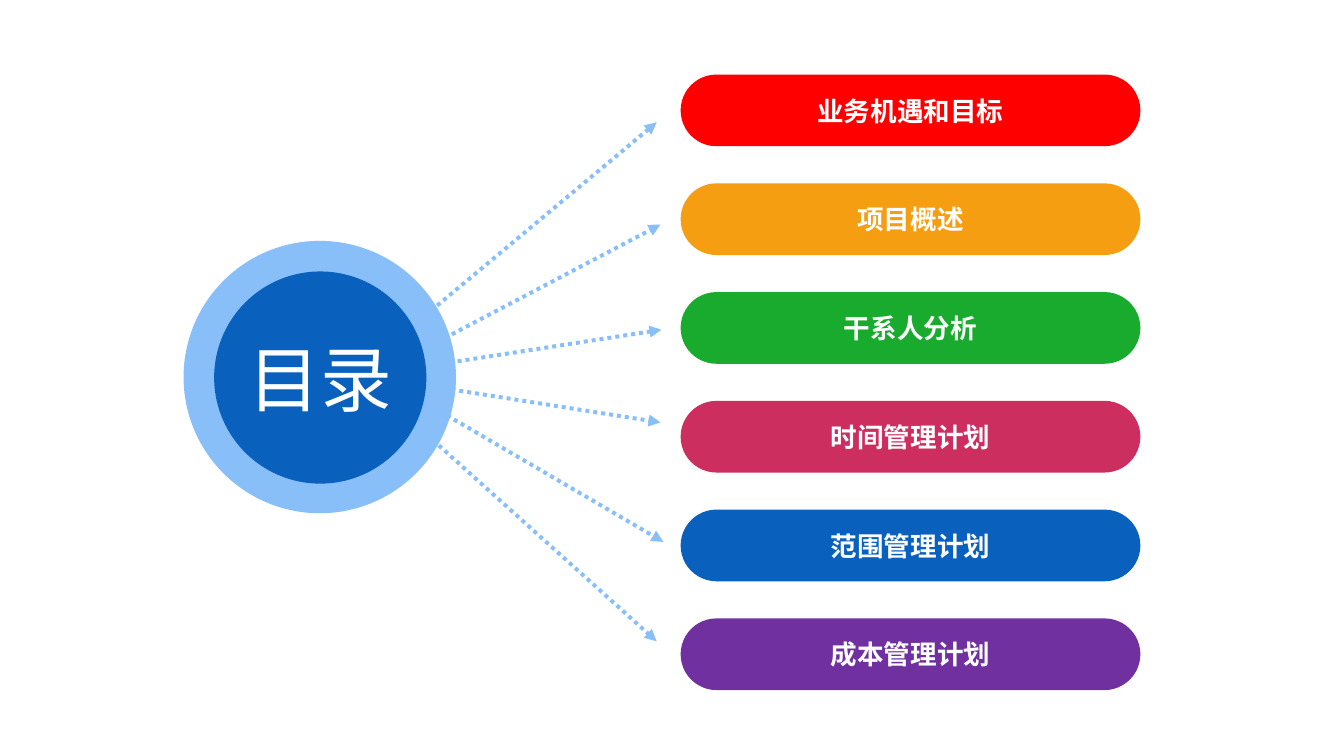
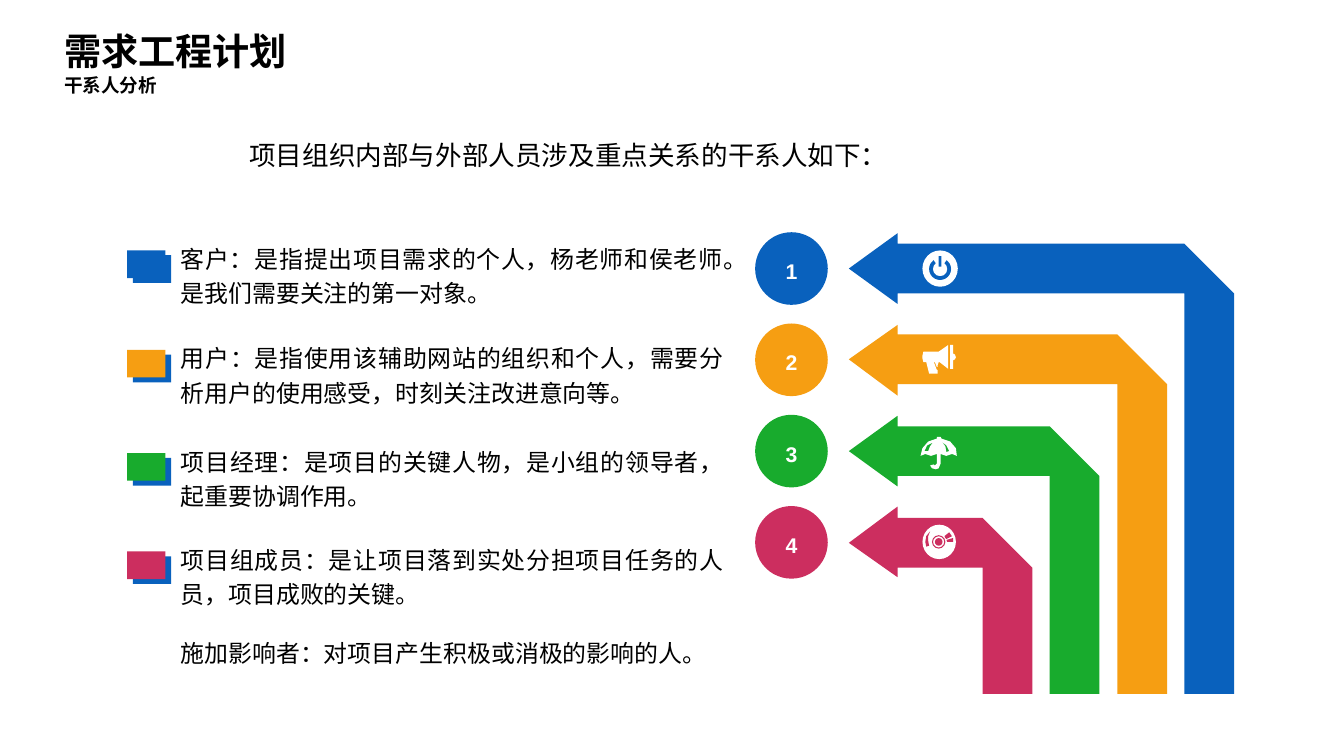
from pptx import Presentation
from pptx.dml.color import RGBColor
from pptx.enum.dml import MSO_LINE
from pptx.enum.shapes import MSO_CONNECTOR, MSO_SHAPE
from pptx.enum.text import MSO_ANCHOR, MSO_AUTO_SIZE, PP_ALIGN
from pptx.oxml.ns import qn
from pptx.oxml.xmlchemy import OxmlElement
from pptx.util import Pt

OVAL, RECT, PILL = MSO_SHAPE.OVAL, MSO_SHAPE.RECTANGLE, MSO_SHAPE.ROUNDED_RECTANGLE
ARC, DONUT = MSO_SHAPE.BLOCK_ARC, MSO_SHAPE.DONUT
LEFT, CENTER, JUSTIFY = PP_ALIGN.LEFT, PP_ALIGN.CENTER, PP_ALIGN.JUSTIFY
TOP, MIDDLE = MSO_ANCHOR.TOP, MSO_ANCHOR.MIDDLE

PX = 9144  # 100 px to the inch
FONT = "Arial"
BLUE, ORANGE = RGBColor(0x09, 0x61, 0xBD), RGBColor(0xF6, 0x9E, 0x12)
GREEN, CRIMSON = RGBColor(0x18, 0xAB, 0x2D), RGBColor(0xCC, 0x2E, 0x5F)
RED, PURPLE = RGBColor(0xFF, 0, 0), RGBColor(0x70, 0x30, 0xA0)
SKY, WHITE, BLACK = RGBColor(0x88, 0xBF, 0xF9), RGBColor(255, 255, 255), RGBColor(0, 0, 0)

# Contents slide
CONTENTS_TITLE = "目录"
TOPICS = [
    ("业务机遇和目标", RED),
    ("项目概述", ORANGE),
    ("干系人分析", GREEN),
    ("时间管理计划", CRIMSON),
    ("范围管理计划", BLUE),
    ("成本管理计划", PURPLE),
]
RAYS = [  # from x, y to x, y
    (451, 325, 687, 128), (421, 377, 691, 235), (421, 387, 692, 345),
    (431, 401, 691, 442), (446, 422, 694, 567), (459, 466, 687, 671),
]

# Stakeholder slide
TITLE, SUBTITLE = "需求工程计划", "干系人分析"
INTRO = "项目组织内部与外部人员涉及重点关系的干系人如下："
STAKEHOLDERS = [  # text top, colour, text
    (245, BLUE, "客户：是指提出项目需求的个人，杨老师和侯老师。是我们需要关注的第一对象。"),
    (349, ORANGE, "用户：是指使用该辅助网站的组织和个人，需要分析用户的使用感受，时刻关注改进意向等。"),
    (457, GREEN, "项目经理：是项目的关键人物，是小组的领导者，起重要协调作用。"),
    (560, CRIMSON, "项目组成员：是让项目落到实处分担项目任务的人员，项目成败的关键。"),
]
INFLUENCER = "施加影响者：对项目产生积极或消极的影响的人。"

# Icon outlines
MEGAPHONE = [
    [(966, 368), (982, 368), (992, 361), (992, 386), (983, 379), (977, 379), (980, 387),
     (981, 387), (981, 391), (972, 391), (969, 379), (966, 379), (965, 375), (965, 372)],
    [(994, 361), (997, 361), (997, 370), (999, 371), (1000, 374), (999, 376), (997, 377),
     (997, 386), (994, 386)],
    [(982, 379), (978, 379), (980, 384), (981, 384), (981, 382)],
]
UMBRELLA = [
    [(963, 477), (965, 469), (971, 462), (980, 459), (980, 457), (984, 457), (985, 459),
     (994, 462), (1000, 469), (1001, 477), (996, 475), (990, 477), (984, 475), (984, 485),
     (982, 490), (979, 491), (975, 490), (973, 487), (977, 486), (978, 487), (980, 485),
     (980, 475), (974, 477), (968, 475)],
    [(990, 473), (993, 472), (990, 466), (985, 462), (989, 467)],
    [(967, 472), (971, 472), (973, 467), (976, 463), (970, 466)],
]
DISC_SHINE = [
    [(973, 556), (969, 561), (968, 567), (969, 572), (972, 571), (971, 566), (971, 561)],
    [(988, 561), (989, 563), (990, 564), (996, 561), (995, 560), (993, 557)],
    [(997, 563), (990, 565), (991, 567), (997, 567)],
]


def px(*lengths):
    return [round(n * PX) for n in lengths]


def write(shape, text, size, color, bold=False, align=LEFT, anchor=TOP, spacing=None, inset=None):
    tf = shape.text_frame
    tf.word_wrap, tf.auto_size, tf.vertical_anchor = True, MSO_AUTO_SIZE.NONE, anchor
    if inset is not None:
        tf.margin_left = tf.margin_top = tf.margin_right = tf.margin_bottom = inset
    p = tf.paragraphs[0]
    p.alignment = align
    if spacing:
        p.line_spacing = spacing
    r = p.add_run()
    r.text = text
    r.font.name, r.font.size, r.font.bold = FONT, Pt(size), bold
    r.font.color.rgb = color


def paint(shape, color):
    shape.shadow.inherit = False
    shape.fill.solid()
    shape.fill.fore_color.rgb = color
    shape.line.fill.background()


def add_block(s, kind, box, color, adjustments=()):
    sp = s.shapes.add_shape(kind, *px(*box))
    for i, value in enumerate(adjustments):
        sp.adjustments[i] = value
    paint(sp, color)
    return sp


def add_outline(s, contours, color):
    start = contours[0][0]
    builder = s.shapes.build_freeform(*start, scale=PX)
    for i, points in enumerate(contours):
        if i:
            builder.move_to(*points[0])
        builder.add_line_segments(points[1:], close=True)
    paint(builder.convert_to_shape(), color)


def add_text(s, box, text, size, **style):
    write(s.shapes.add_textbox(*px(*box)), text, size, BLACK, **style)


def set_title(s, box, text, size, color, **style):
    title = s.shapes.title
    title.left, title.top, title.width, title.height = px(*box)
    write(title, text, size, color, anchor=MIDDLE, inset=0, **style)
    return title


def add_ray(s, ends):
    c = s.shapes.add_connector(MSO_CONNECTOR.STRAIGHT, *px(*ends))
    c.line.color.rgb, c.line.width = SKY, Pt(3)
    c.line.dash_style = MSO_LINE.ROUND_DOT
    props = c.element.spPr
    tail = OxmlElement("a:tailEnd")
    tail.set("type", "triangle")
    props.find(qn("a:ln")).append(tail)
    props.append(OxmlElement("a:effectLst"))


def build_contents(s):
    for ends in RAYS:
        add_ray(s, ends)
    # Hub, with the title on top of it
    hub = (224, 284, 222, 222)
    add_block(s, OVAL, (192, 252, 285, 285), SKY)
    add_block(s, OVAL, hub, BLUE)
    title = set_title(s, hub, CONTENTS_TITLE, 54, WHITE, align=CENTER)
    s.shapes.element.append(title.element)
    # Topic pills
    for i, (text, color) in enumerate(TOPICS):
        pill = add_block(s, PILL, (712, 78 + 113.8 * i, 481, 75), color, [0.5])
        write(pill, text, 20, WHITE, bold=True, align=CENTER, anchor=MIDDLE, inset=0)


def add_bent_arrow(s, y, right, color):
    tip, neck, head, half, bottom = 888, 939, 37, 26, 726
    inner = right - 2 * half
    add_outline(s, [[
        (tip, y), (neck, y - head), (neck, y - half), (inner, y - half), (right, y + half),
        (right, bottom), (inner, bottom), (inner, y + half), (neck, y + half), (neck, y + head),
    ]], color)


def add_icons(s):
    # Power button
    add_block(s, OVAL, (965, 262, 37, 38), WHITE)
    add_block(s, ARC, (972, 270, 23, 23), BLUE, [307 * 0.6, 233 * 0.6, 0.17])
    add_block(s, RECT, (982, 268, 3, 11), BLUE)
    add_outline(s, MEGAPHONE, WHITE)
    add_outline(s, UMBRELLA, WHITE)
    # Disc
    add_block(s, OVAL, (965, 549, 35, 36), WHITE)
    add_block(s, DONUT, (975, 560, 14, 14), CRIMSON, [0.08])
    add_block(s, OVAL, (978, 563, 8, 8), CRIMSON)
    add_outline(s, DISC_SHINE, CRIMSON)


def build_stakeholders(s):
    set_title(s, (67, 29, 337, 47), TITLE, 28, BLACK, bold=True, align=LEFT)
    add_text(s, (67, 77, 352, 24), SUBTITLE, 14, bold=True, anchor=MIDDLE, inset=0)
    add_text(s, (251, 141, 686, 44), INTRO, 20)
    for i, (top, color, text) in enumerate(STAKEHOLDERS):
        # Marker and description
        add_block(s, RECT, (139, top + 22, 40, 29), BLUE)
        add_block(s, RECT, (133, top + 17, 40, 29), color)
        add_text(s, (179, top, 588, 83), text, 18, align=JUSTIFY, spacing=1.2)
        # Number and arrow
        y = 281 + 95.5 * i
        badge = add_block(s, OVAL, (790, y - 38, 76, 76), color)
        write(badge, str(i + 1), 16, WHITE, bold=True, align=CENTER, anchor=MIDDLE, spacing=1.2)
        add_bent_arrow(s, y, 1291 - 70.4 * i, color)
    add_text(s, (179, 663, 588, 40), INFLUENCER, 18)
    add_icons(s)


def main():
    prs = Presentation()
    prs.slide_width, prs.slide_height = px(1406, 791)
    for build in (build_contents, build_stakeholders):
        build(prs.slides.add_slide(prs.slide_layouts[5]))
    prs.save("out.pptx")


if __name__ == "__main__":
    main()
